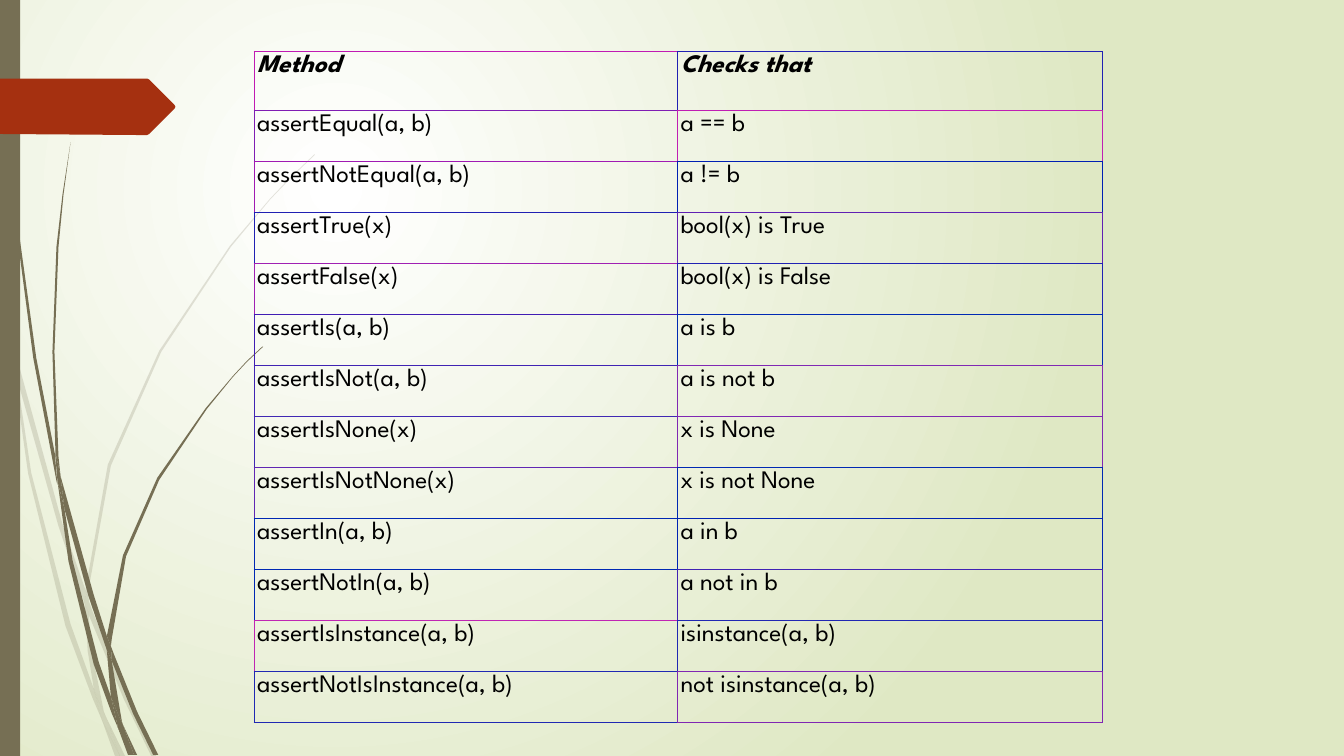
"""Build a slide with a table of assertion methods beside a grass ornament."""
from dataclasses import dataclass

from lxml import etree
from pptx import Presentation
from pptx.dml.color import RGBColor
from pptx.enum.shapes import MSO_SHAPE
from pptx.oxml.ns import qn
from pptx.slide import Slide
from pptx.table import _Cell
from pptx.util import Emu, Pt

PX = 9144
RECTANGLE = MSO_SHAPE.RECTANGLE
FONT = "League Spartan"
BLACK = RGBColor(0x00, 0x00, 0x00)
WHITE = RGBColor(0xFF, 0xFF, 0xFF)
PALE_GREEN = RGBColor(0xDF, 0xE8, 0xC4)
OLIVE = RGBColor(0x76, 0x6F, 0x54)
RUST = RGBColor(0xA5, 0x30, 0x10)

Point = tuple[int, int]
Outline = list[Point]


@dataclass(frozen=True)
class Grass:
    """A tuft of blades sharing one opacity in percent."""
    opacity: int
    blades: list[Outline]


@dataclass(frozen=True)
class Entry:
    """A table row: two texts and the border colour of each cell."""
    method: str
    check: str
    method_border: str
    check_border: str


PALE_GRASS = Grass(20, [
    [(11, 350), (9, 322), (0, 282), (0, 299), (10, 344)],
    [(58, 522), (84, 599), (85, 586), (62, 520), (14, 345), (17, 376)],
    [(92, 607), (88, 596), (88, 610), (123, 694), (150, 750), (155, 750),
     (127, 692)],
    [(119, 750), (124, 750), (105, 711)],
    [(93, 683), (70, 619), (31, 469), (17, 376), (11, 350), (28, 470),
     (65, 621), (92, 693), (101, 714), (99, 707)],
    [(84, 599), (87, 646), (93, 683), (96, 692), (105, 711), (103, 706),
     (91, 646), (88, 610), (88, 608)],
    [(88, 584), (110, 462), (160, 349), (229, 245), (268, 198), (290, 175),
     (312, 154), (312, 153), (289, 175), (268, 197), (228, 244), (158, 348),
     (107, 461), (85, 584), (85, 586), (88, 596)],
    [(101, 714), (114, 750), (119, 750)],
    [(88, 608), (88, 610), (88, 596), (85, 586), (84, 599)],
    [(96, 692), (93, 683), (99, 707), (101, 714), (119, 750), (105, 711)],
])
DARK_GRASS = Grass(100, [
    [(7, 110), (17, 233), (33, 355), (56, 477), (57, 481), (55, 457),
     (55, 453), (36, 355), (19, 232), (8, 109), (5, 48), (4, 0), (3, 0),
     (4, 48)],
    [(88, 592), (106, 645), (106, 633), (106, 631), (93, 590), (60, 472),
     (64, 505)],
    [(113, 649), (110, 641), (111, 656), (132, 708), (152, 749), (157, 749),
     (136, 706)],
    [(110, 691), (98, 657), (72, 556), (64, 505), (57, 477), (68, 557),
     (93, 659), (111, 708), (117, 722), (116, 717)],
    [(60, 472), (58, 453), (54, 349), (58, 245), (63, 193), (70, 141),
     (62, 193), (56, 245), (52, 349), (55, 449)],
    [(133, 749), (136, 749), (122, 719)],
    [(57, 477), (64, 505), (60, 472), (55, 449), (55, 453)],
    [(111, 633), (125, 552), (158, 476), (205, 406), (231, 374), (245, 359),
     (261, 344), (260, 344), (245, 358), (231, 373), (204, 405), (156, 474),
     (122, 551), (106, 631), (110, 641)],
    [(117, 722), (127, 749), (131, 749)],
    [(106, 645), (110, 691), (116, 706), (122, 719), (121, 716), (111, 656),
     (109, 651)],
    [(106, 645), (109, 651), (111, 656), (110, 641), (106, 631)],
    [(116, 706), (110, 691), (116, 717), (117, 722), (130, 749), (133, 749),
     (122, 719)],
])
PENNANT: Outline = [
    (0, 78), (146, 78), (148, 79), (173, 104), (174, 106), (173, 108),
    (148, 133), (146, 134), (136, 134), (0, 133),
]
ENTRIES = [
    Entry("Method", "Checks that", "C01AB3", "2020B3"),
    Entry("assertEqual(a, b)", "a == b", "801DB3", "C01EB3"),
    Entry("assertNotEqual(a, b)", "a != b", "A01AB3", "001FB3"),
    Entry("assertTrue(x)", "bool(x) is True", "2020B3", "6020B3"),
    Entry("assertFalse(x)", "bool(x) is False", "A020B3", "2021B3"),
    Entry("assertIs(a, b)", "a is b", "401CB3", "0029B3"),
    Entry("assertIsNot(a, b)", "a is not b", "4023B3", "8028B3"),
    Entry("assertIsNone(x)", "x is None", "4028B3", "8027B3"),
    Entry("assertIsNotNone(x)", "x is not None", "6026B3", "0028B3"),
    Entry("assertIn(a, b)", "a in b", "0027B3", "0022B3"),
    Entry("assertNotIn(a, b)", "a not in b", "0028B3", "4022B3"),
    Entry("assertIsInstance(a, b)", "isinstance(a, b)", "C025B3", "2027B3"),
    Entry("assertNotIsInstance(a, b)", "not isinstance(a, b)", "2028B3", "8026B3"),
]


def px(length: int) -> Emu:
    """Turn px into EMU."""
    return Emu(length * PX)


def paint_background(slide: Slide) -> None:
    """Fill the background with a circular gradient."""
    fill = slide.background.fill
    fill.gradient()
    for stop, color in zip(fill.gradient_stops, (WHITE, PALE_GREEN)):
        stop.color.rgb = color
    linear = slide.element.find(".//" + qn("a:lin"))
    circle = etree.Element(qn("a:path"), {"path": "circle"})
    etree.SubElement(circle, qn("a:fillToRect"),
                     {"l": "50000", "t": "50000", "r": "100000", "b": "100000"})
    linear.getparent().replace(linear, circle)


def paint_shape(shape, color: RGBColor, opacity: int = 100) -> None:
    """Give a shape a flat fill without line or shadow."""
    shape.shadow.inherit = False
    shape.fill.solid()
    shape.fill.fore_color.rgb = color
    shape.line.fill.background()
    if opacity < 100:
        color_element = shape.element.spPr.find(
            qn("a:solidFill") + "/" + qn("a:srgbClr"))
        etree.SubElement(color_element, qn("a:alpha"), {"val": str(opacity * 1000)})


def draw_outline(shapes, outline: Outline, color: RGBColor, opacity: int = 100) -> None:
    """Draw a closed outline."""
    builder = shapes.build_freeform(*outline[0], scale=PX)
    builder.add_line_segments(outline[1:], close=True)
    paint_shape(builder.convert_to_shape(), color, opacity)


def draw_grass(slide: Slide, grass: Grass) -> None:
    """Draw a tuft of grass as one group."""
    group = slide.shapes.add_group_shape()
    for blade in grass.blades:
        draw_outline(group.shapes, blade, OLIVE, grass.opacity)


def set_borders(cell: _Cell, colors: dict[str, str]) -> None:
    """Set the border colour of each side of a cell."""
    properties = cell._tc.get_or_add_tcPr()
    for position, (side, color) in enumerate(colors.items()):
        line = etree.Element(qn("a:" + side), {"w": str(Pt(0.75))})
        solid = etree.SubElement(line, qn("a:solidFill"))
        etree.SubElement(solid, qn("a:srgbClr"), {"val": color})
        properties.insert(position, line)


def write_cell(cell: _Cell, text: str, heading: bool) -> None:
    """Write and format the text of a cell."""
    cell.fill.background()
    cell.margin_left = cell.margin_right = px(3)
    cell.margin_top = cell.margin_bottom = px(3)
    cell.text_frame.text = text
    font = cell.text_frame.paragraphs[0].runs[0].font
    font.name, font.size = FONT, Pt(18)
    font.bold = font.italic = heading
    font.color.rgb = BLACK


def draw_table(slide: Slide, entries: list[Entry]) -> None:
    """Draw the table, each cell sharing borders with its right and lower ones."""
    height, heading_height = 666, 59
    table = slide.shapes.add_table(
        len(entries), 2, px(252), px(51), px(841), px(height)).table
    table.first_row = table.horz_banding = False
    for column, width in zip(table.columns, (420, 421)):
        column.width = px(width)
    body_height = Emu(px(height - heading_height) // (len(entries) - 1))
    for index, entry in enumerate(entries):
        table.rows[index].height = body_height if index else px(heading_height)
        below = entries[min(index + 1, len(entries) - 1)]
        cells = [(entry.method, entry.method_border, below.method_border),
                 (entry.check, entry.check_border, below.check_border)]
        for column_index, (text, own, lower) in enumerate(cells):
            cell = table.cell(index, column_index)
            write_cell(cell, text, heading=index == 0)
            set_borders(cell, {"lnL": own, "lnR": entry.check_border,
                               "lnT": own, "lnB": lower})


def main() -> None:
    """Build and save the presentation."""
    presentation = Presentation()
    presentation.slide_width, presentation.slide_height = px(1333), px(750)
    slide = presentation.slides.add_slide(presentation.slide_layouts[6])
    paint_background(slide)
    for grass in (PALE_GRASS, DARK_GRASS):
        draw_grass(slide, grass)
    sidebar = slide.shapes.add_shape(RECTANGLE, px(0), px(0), px(20), px(750))
    paint_shape(sidebar, OLIVE)
    draw_outline(slide.shapes, PENNANT, RUST)
    draw_table(slide, ENTRIES)
    presentation.save("out.pptx")


if __name__ == "__main__":
    main()
